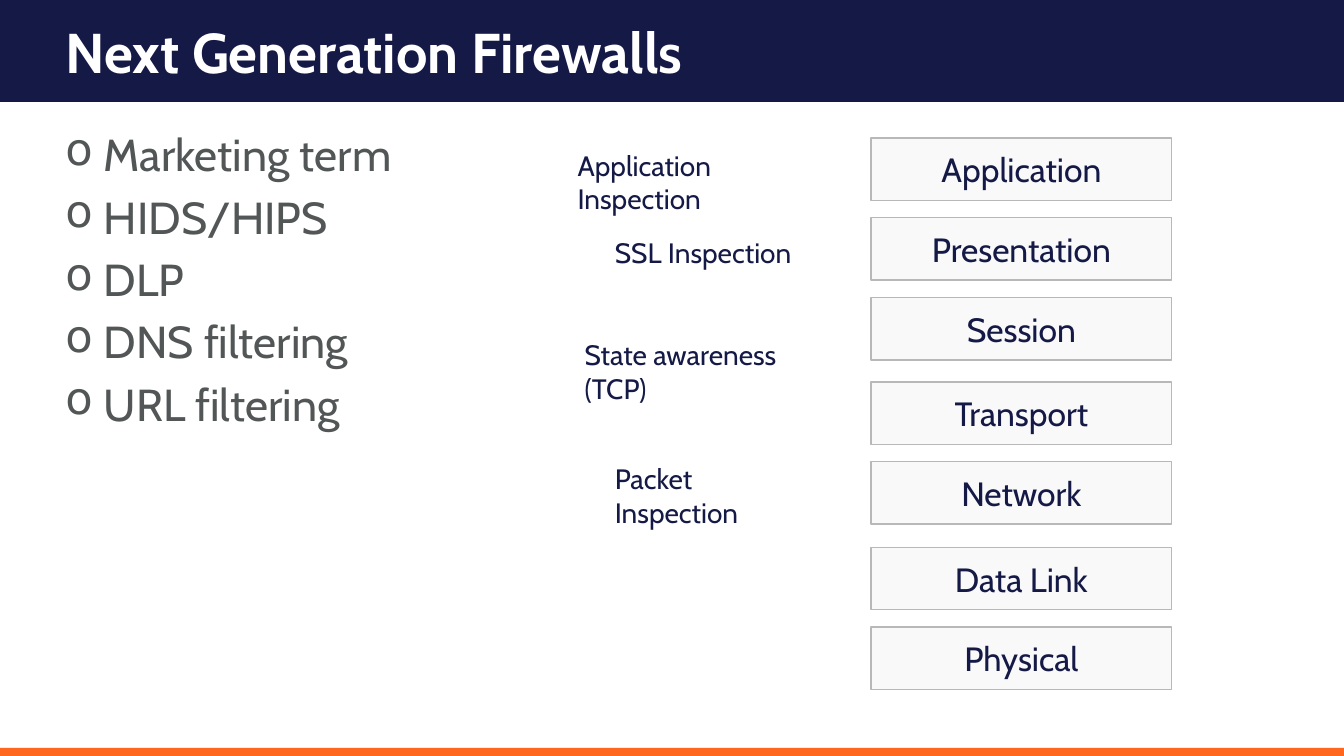
import pptx
import pptx.dml.color
import pptx.enum.shapes
import pptx.enum.text
import pptx.oxml
import pptx.oxml.ns
import pptx.util

Inches = pptx.util.Inches
Pt = pptx.util.Pt
ALIGN = pptx.enum.text.PP_ALIGN
ANCHOR = pptx.enum.text.MSO_ANCHOR

COLORS = {
    "navy": "151945",
    "orange": "FF671F",
    "gray": "525656",
    "white": "FFFFFF",
    "box": "F9F9FA",
    "border": "B8B8B9",
}
FONTS = {
    "title": {"name": "Cabin", "size": Pt(40), "bold": True},
    "bullet": {"name": "Cabin", "size": Pt(32)},
    "layer": {"name": "Cabin", "size": Pt(24)},
    "label": {"name": "Cabin", "size": Pt(20)},
}
BULLETS = ["Marketing term", "HIDS/HIPS", "DLP", "DNS filtering", "URL filtering"]
LABELS = [
    ("Application Inspection", (5.63, 1.42, 2.79, 0.44)),
    ("SSL Inspection", (6, 2.29, 2.04, 0.44)),
    ("State awareness (TCP)", (5.7, 3.3, 2.72, 0.44)),
    ("Packet Inspection", (6, 4.53, 2.2, 0.44)),
]
LAYER_GROUPS = [
    (1.37, ["Application", "Presentation", "Session"]),
    (3.79, ["Transport", "Network"]),
    (5.43, ["Data Link", "Physical"]),
]
LAYER_PITCH = 0.79


def rgb(name):
    return pptx.dml.color.RGBColor.from_string(COLORS[name])


def apply(target, values):
    for name, value in values.items():
        setattr(target, name, value)


def write(paragraph, text, style, color, **layout):
    paragraph.text = text
    apply(paragraph, layout)
    apply(paragraph.font, FONTS[style])
    paragraph.font.color.rgb = rgb(color)


def add_rectangle(slide, box, fill, border=None):
    shape = slide.shapes.add_shape(
        pptx.enum.shapes.MSO_SHAPE.RECTANGLE, *map(Inches, box))
    shape.shadow.inherit = False
    shape.fill.solid()
    shape.fill.fore_color.rgb = rgb(fill)
    if border:
        shape.line.color.rgb = rgb(border)
        shape.line.width = Pt(1)
    else:
        shape.line.fill.background()
    return shape


def add_text_frame(slide, box, anchor=ANCHOR.TOP):
    frame = slide.shapes.add_textbox(*map(Inches, box)).text_frame
    apply(frame, {"word_wrap": True, "vertical_anchor": anchor})
    return frame


def add_title(slide, box, text):
    frame = add_text_frame(slide, box, ANCHOR.MIDDLE)
    write(frame.paragraphs[0], text, "title", "white", line_spacing=0.9)


def add_bullets(slide, box, items):
    frame = add_text_frame(slide, box)
    for index, item in enumerate(items):
        paragraph = frame.add_paragraph() if index else frame.paragraphs[0]
        properties = paragraph._p.get_or_add_pPr()
        properties.set("marL", str(Inches(0.38)))
        properties.set("indent", str(Inches(-0.38)))
        properties.append(pptx.oxml.parse_xml(
            f'<a:buChar {pptx.oxml.ns.nsdecls("a")} char="o"/>'))
        write(paragraph, item, "bullet", "gray",
              line_spacing=0.9, space_before=Pt(10 if index else 0))


def add_label(slide, box, text):
    frame = add_text_frame(slide, box)
    write(frame.paragraphs[0], text, "label", "navy")


def add_layers(slide, box, names):
    left, top, width, height = box
    for index, name in enumerate(names):
        shape = add_rectangle(
            slide, (left, top + index * LAYER_PITCH, width, height), "box", "border")
        shape.text_frame.vertical_anchor = ANCHOR.MIDDLE
        write(shape.text_frame.paragraphs[0], name, "layer", "navy",
              alignment=ALIGN.CENTER)


def main():
    presentation = pptx.Presentation()
    apply(presentation, {"slide_width": Inches(13.33), "slide_height": Inches(7.5)})
    slide = presentation.slides.add_slide(presentation.slide_layouts[6])
    add_rectangle(slide, (0, 0, 13.33, 1.01), "navy")
    add_rectangle(slide, (0, 7.42, 13.33, 0.08), "orange")
    add_title(slide, (0.55, -0.02, 12.22, 1.14), "Next Generation Firewalls")
    add_bullets(slide, (0.55, 1.27, 4.9, 5.13), BULLETS)
    for top, names in LAYER_GROUPS:
        add_layers(slide, (8.64, top, 2.98, 0.62), names)
    for text, box in LABELS:
        add_label(slide, box, text)
    presentation.save("out.pptx")


if __name__ == "__main__":
    main()
